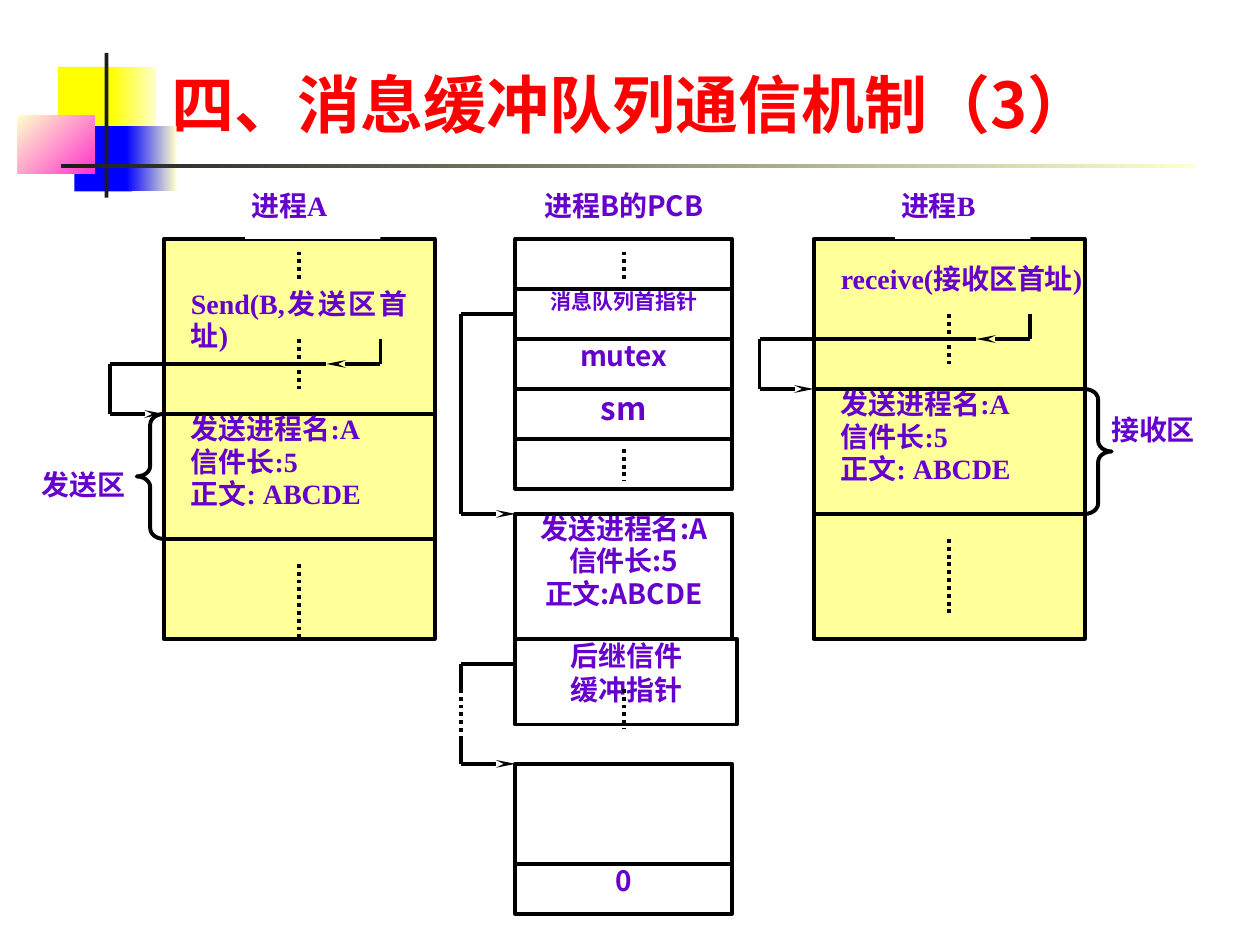
from dataclasses import dataclass
from typing import Optional

from lxml.etree import SubElement
from pptx import Presentation
from pptx.dml.color import RGBColor
from pptx.enum.dml import MSO_LINE
from pptx.enum.shapes import MSO_CONNECTOR, MSO_SHAPE
from pptx.enum.text import MSO_ANCHOR, MSO_AUTO_SIZE, PP_ALIGN
from pptx.oxml.ns import qn
from pptx.util import Pt

BLACK = RGBColor(0x00, 0x00, 0x00)
WHITE = RGBColor(0xFF, 0xFF, 0xFF)
RED = RGBColor(0xFF, 0x00, 0x00)
INK = RGBColor(0x1C, 0x1C, 0x1C)
CREAM = RGBColor(0xFF, 0xFF, 0xCC)
SAND = RGBColor(0xFF, 0xFF, 0x99)
GOLD = RGBColor(0xFF, 0xFF, 0x00)
BLUE = RGBColor(0x00, 0x00, 0xFF)
PINK = RGBColor(0xFF, 0x33, 0xCC)
PURPLE = RGBColor(0x66, 0x00, 0xCC)
SANS = "Noto Sans CJK SC"
SERIF = "Times New Roman"

TOP, COL, ROW = 136.6, 15.48, 14.28
LEFT, MID, RIGHT = 93.6, 294.5, 465


@dataclass
class Patch:
    x: float
    y: float
    wide: float
    high: float
    start: RGBColor
    end: Optional[RGBColor] = None
    angle: float = 0


@dataclass
class Side:
    x: float
    shift: int
    head: str
    call: str
    span: float
    brace: object
    edge: int
    label: str
    spot: tuple


@dataclass
class Cell:
    row: float
    high: float
    text: str = ""
    size: float = 16
    wide: float = 8
    space: Optional[float] = None


PATCHES = [
    Patch(33.1, 38.2, 34.6, 37.4, GOLD),
    Patch(63.4, 38.2, 25.9, 37.4, GOLD, CREAM),
    Patch(42.5, 72, 33.1, 37.4, BLUE),
    Patch(72, 72, 28.8, 37.4, BLUE, CREAM),
    Patch(10.1, 66.2, 43.9, 33.1, CREAM, PINK, 315),
    Patch(59.8, 30.2, 2.2, 82.8, INK),
    Patch(34.6, 93.6, 648, 2.5, INK, CREAM),
]
SIDES = [
    Side(LEFT, 0, "进程A", "Send(B,发送区首址)", 8,
         MSO_SHAPE.LEFT_BRACE, -1, "发送区", (23.8, 268.6)),
    Side(RIGHT, -1, "进程B", "receive(接收区首址)", 9,
         MSO_SHAPE.RIGHT_BRACE, 10, "接收区", (635, 236.9)),
]
CELLS = [
    Cell(0, 2),
    Cell(2, 2, "消息队列首指针", 12),
    Cell(4, 2, "mutex"),
    Cell(6, 2, "sm", 18),
    Cell(8, 2),
    Cell(11, 5, "发送进程名:A\n信件长:5\n正文:ABCDE", space=0.96),
    Cell(16, 3.43, "后继信件\n缓冲指针", wide=8.18),
    Cell(21, 4),
    Cell(25, 2, "0"),
]
LETTER = "发送进程名:A\n信件长:5\n正文: ABCDE"


def style(frame, text: str, size: float, face: str, color: RGBColor,
          align, space: Optional[float] = None) -> None:
    frame.text = text
    for para in frame.paragraphs:
        para.alignment = align
        if space:
            para.line_spacing = space
        for run in para.runs:
            font = run.font
            font.size, font.bold, font.name = Pt(size), True, face
            font.color.rgb = color
            SubElement(run._r.get_or_add_rPr(), qn("a:ea"), typeface=SANS)


def flush(frame) -> None:
    frame.word_wrap = True
    frame.vertical_anchor = MSO_ANCHOR.TOP
    frame.margin_left = frame.margin_right = 0
    frame.margin_top = frame.margin_bottom = 0


def shape(slide, kind, x: float, y: float, wide: float, high: float,
          fill: Optional[RGBColor] = None, edge: bool = True):
    item = slide.shapes.add_shape(kind, Pt(x), Pt(y), Pt(wide), Pt(high))
    item.shadow.inherit = False
    if fill is None:
        item.fill.background()
    else:
        item.fill.solid()
        item.fill.fore_color.rgb = fill
    if edge:
        item.line.color.rgb = BLACK
        item.line.width = Pt(2.25)
    else:
        item.line.fill.background()
    flush(item.text_frame)
    return item


def box(slide, x: float, y: float, wide: float, high: float, text: str,
        face: str = SERIF, align=PP_ALIGN.JUSTIFY,
        space: Optional[float] = 0.96) -> None:
    item = slide.shapes.add_textbox(Pt(x), Pt(y), Pt(wide), Pt(high))
    flush(item.text_frame)
    style(item.text_frame, text, 16, face, PURPLE, align, space)


def line(slide, x: float, a: tuple, b: tuple, arrow: bool = False,
         dots: bool = False):
    ends = [Pt(v) for col, row in (a, b)
            for v in (x + col * COL, TOP + row * ROW)]
    item = slide.shapes.add_connector(MSO_CONNECTOR.STRAIGHT, *ends)
    item.line.color.rgb = BLACK
    item.line.width = Pt(2.25)
    if dots:
        item.line.dash_style = MSO_LINE.ROUND_DOT
    if arrow:
        SubElement(item.line._get_or_add_ln(), qn("a:tailEnd"),
                   type="stealth", w="sm", len="lg")
    SubElement(item._element.spPr, qn("a:effectLst"))
    return item


def trail(slide, x: float, points: list) -> list:
    pairs = list(zip(points, points[1:]))
    return [line(slide, x, a, b, arrow=i == len(pairs) - 1)
            for i, (a, b) in enumerate(pairs)]


def patch(slide, part: Patch) -> None:
    item = shape(slide, MSO_SHAPE.RECTANGLE, part.x, part.y, part.wide,
                 part.high, part.start, False)
    if part.end is not None:
        item.fill.gradient()
        item.fill.gradient_angle = part.angle
        for stop, color in zip(item.fill.gradient_stops,
                               (part.start, part.end)):
            stop.color.rgb = color


def panel(slide, side: Side) -> None:
    x, up = side.x, side.shift
    frame = shape(slide, MSO_SHAPE.RECTANGLE, x, TOP, 10 * COL, 16 * ROW, SAND)
    trail(slide, x, [(8, 4 + up), (8, 5 + up), (6, 5 + up)])
    trail(slide, x, [(6, 5 + up), (-2, 5 + up), (-2, 7 + up), (0, 7 + up)])
    for row in (7 + up, 12 + up):
        line(slide, x, (0, row), (10, row))
    mark = TOP + (7 + up) * ROW
    box(slide, x + COL, mark, 7 * COL, 5 * ROW, LETTER)
    box(slide, x + COL, TOP + (2 + up) * ROW, side.span * COL, 2 * ROW,
        side.call)
    box(slide, *side.spot, 55, 28, side.label)
    brace = shape(slide, side.brace, x + side.edge * COL, mark, COL, 5 * ROW)
    brace.adjustments[0] = 0.39
    line(slide, x, (5, 4 + up), (5, 6 + up), dots=True)
    tail = line(slide, x, (5, 13 + up), (5, 16 + up), dots=True)
    if up == 0:
        tail.end_connect(frame, 2)
        line(slide, x, (5, 0.5), (5, 1.75), dots=True)
    head = shape(slide, MSO_SHAPE.RECTANGLE, x + 3 * COL, TOP - 2 * ROW,
                 5 * COL, 2 * ROW, WHITE, False)
    head.text_frame.margin_left = Pt(3.5)
    style(head.text_frame, side.head, 16, SERIF, PURPLE, PP_ALIGN.JUSTIFY)


def queue(slide) -> None:
    cells = []
    for cell in CELLS:
        item = shape(slide, MSO_SHAPE.RECTANGLE, MID, TOP + cell.row * ROW,
                     cell.wide * COL, cell.high * ROW)
        if cell.text:
            style(item.text_frame, cell.text, cell.size, SANS, PURPLE,
                  PP_ALIGN.CENTER, cell.space)
        cells.append(item)
    for a, b in ((0.5, 1.75), (8.4, 9.7), (18, 19.6)):
        line(slide, MID, (4, a), (4, b), dots=True)
    link = trail(slide, MID, [(0, 3), (-2, 3), (-2, 11), (0, 11)])
    link[0].begin_connect(cells[1], 1)
    line(slide, MID, (0, 17), (-2, 17))
    line(slide, MID, (-2, 17), (-2, 18))
    line(slide, MID, (-2, 18), (-2, 20), dots=True)
    trail(slide, MID, [(-2, 20), (-2, 21), (0, 21)])
    box(slide, MID, TOP - 2 * ROW, 8 * COL, 2 * ROW, "进程B的PCB", SANS,
        PP_ALIGN.CENTER, None)


def main() -> None:
    deck = Presentation()
    deck.slide_width, deck.slide_height = Pt(720), Pt(540)
    slide = deck.slides.add_slide(deck.slide_layouts[5])
    title = slide.shapes.title
    title.left, title.top = Pt(90.7), Pt(-5.8)
    title.width, title.height = Pt(613.4), Pt(90)
    title.text_frame.auto_size = MSO_AUTO_SIZE.NONE
    title.text_frame.vertical_anchor = MSO_ANCHOR.BOTTOM
    style(title.text_frame, "四、消息缓冲队列通信机制（3）", 36, SANS, RED,
          PP_ALIGN.LEFT)
    for part in PATCHES:
        patch(slide, part)
    queue(slide)
    for side in SIDES:
        panel(slide, side)
    deck.save("out.pptx")


if __name__ == "__main__":
    main()
